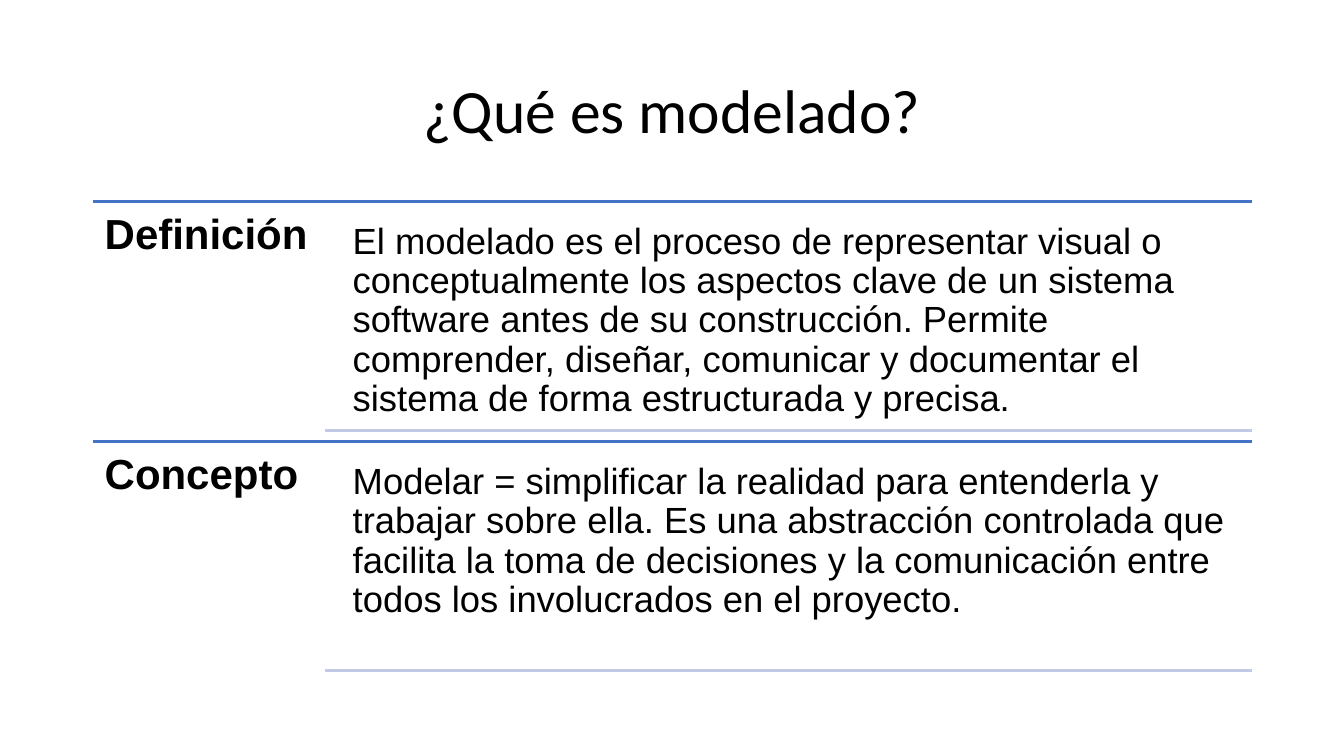
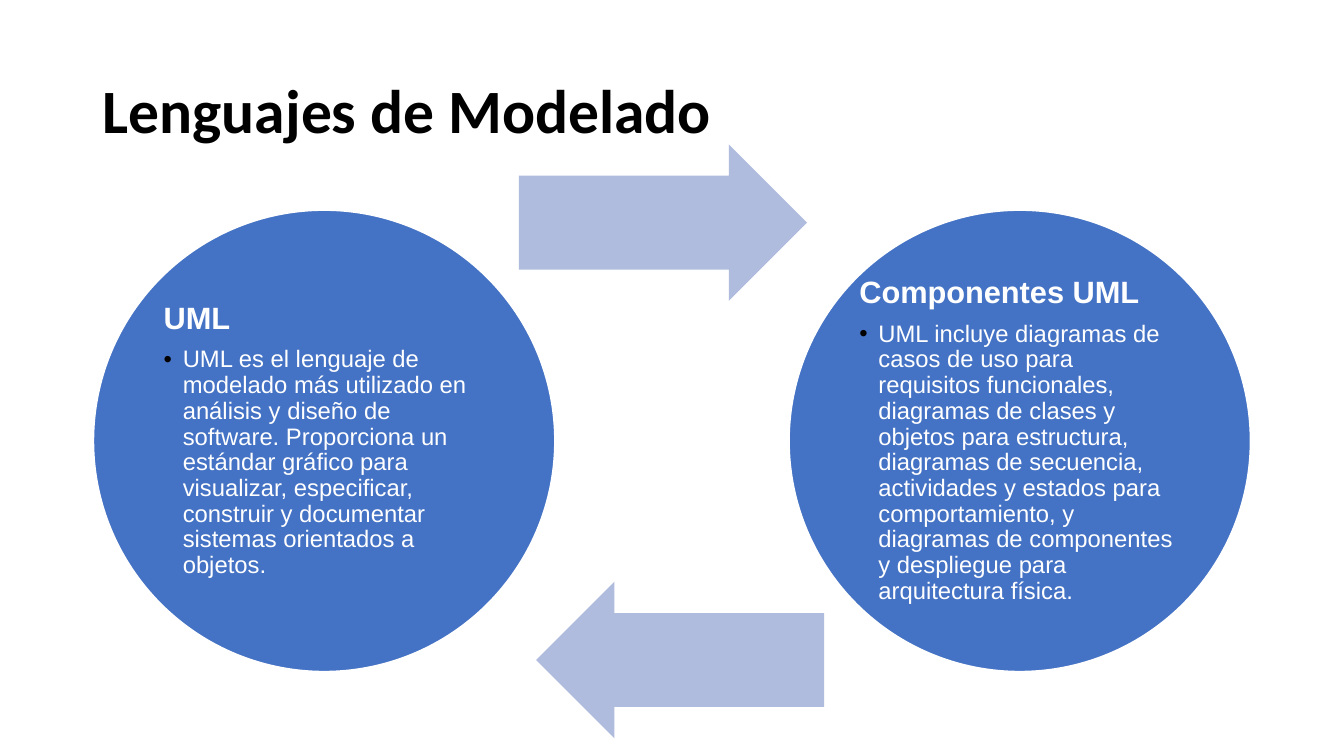
from lxml import etree
from pptx import Presentation
from pptx.dml.color import RGBColor
from pptx.enum.shapes import MSO_CONNECTOR, MSO_SHAPE
from pptx.enum.text import MSO_ANCHOR, MSO_AUTO_SIZE, PP_ALIGN
from pptx.oxml.ns import qn
from pptx.util import Cm, Pt

LINE = MSO_CONNECTOR.STRAIGHT
OVAL, ARROW = MSO_SHAPE.OVAL, MSO_SHAPE.RIGHT_ARROW
TOP, MIDDLE = MSO_ANCHOR.TOP, MSO_ANCHOR.MIDDLE
LEFT, CENTER = PP_ALIGN.LEFT, PP_ALIGN.CENTER
FIXED = MSO_AUTO_SIZE.NONE

COLORS = {"ink": "000000", "white": "FFFFFF", "blue": "4472C4",
          "pale": "C1C9E4", "arrow": "B0BCDE"}
HEAD, BODY = "Calibri", "Arial"
WIDTH, HEIGHT = 33.87, 19.05
EDGE, SPAN = 2.34, 29.2

ROWS = [
    ("Definición",
     "El modelado es el proceso de representar visual o conceptualmente los "
     "aspectos clave de un sistema software antes de su construcción. Permite "
     "comprender, diseñar, comunicar y documentar el sistema de forma "
     "estructurada y precisa."),
    ("Concepto",
     "Modelar = simplificar la realidad para entenderla y trabajar sobre ella. "
     "Es una abstracción controlada que facilita la toma de decisiones y la "
     "comunicación entre todos los involucrados en el proyecto."),
]
DISCS = [
    ("UML",
     "UML es el lenguaje de modelado más utilizado en análisis y diseño de "
     "software. Proporciona un estándar gráfico para visualizar, especificar, "
     "construir y documentar sistemas orientados a objetos."),
    ("Componentes UML",
     "UML incluye diagramas de casos de uso para requisitos funcionales, "
     "diagramas de clases y objetos para estructura, diagramas de secuencia, "
     "actividades y estados para comportamiento, y diagramas de componentes y "
     "despliegue para arquitectura física."),
]


def rgb(name):
    return RGBColor.from_string(COLORS[name])


def set_frame(frame, anchor, inset_x, inset_y):
    frame.word_wrap = True
    frame.auto_size = FIXED
    frame.vertical_anchor = anchor
    frame.margin_left = frame.margin_right = Cm(inset_x)
    frame.margin_top = frame.margin_bottom = Cm(inset_y)


def write(para, text, size, color="ink", bold=False, font=BODY, align=LEFT,
          after=0):
    para.alignment = align
    para.line_spacing = 0.9
    para.space_after = Pt(after)
    run = para.add_run()
    run.text = text
    run.font.name = font
    run.font.size = Pt(size)
    run.font.bold = bold
    run.font.color.rgb = rgb(color)


def add_bullet(para):
    para.level = 1
    props = para._p.get_or_add_pPr()
    props.set("marL", str(Cm(0.48)))
    props.set("indent", str(-Cm(0.48)))
    tint = etree.SubElement(props, qn("a:buClr"))
    etree.SubElement(tint, qn("a:srgbClr"), val=COLORS["ink"])
    etree.SubElement(props, qn("a:buFont"), typeface=BODY)
    etree.SubElement(props, qn("a:buChar"), char="•")


def add_slide(deck, title, bold=False, align=LEFT):
    slide = deck.slides.add_slide(deck.slide_layouts[5])
    head = slide.shapes.title
    head.left, head.top = Cm(EDGE), Cm(1.01)
    head.width, head.height = Cm(SPAN), Cm(3.68)
    set_frame(head.text_frame, MIDDLE, 0.25, 0.13)
    write(head.text_frame.paragraphs[0], title, 44, bold=bold, font=HEAD,
          align=align)
    return slide


def add_rule(slide, left, top, color):
    """Draw a level line from left to the right edge of the content."""
    rule = slide.shapes.add_connector(LINE, Cm(left), Cm(top),
                                      Cm(EDGE + SPAN), Cm(top))
    rule.line.color.rgb = rgb(color)
    rule.line.width = Pt(2)
    etree.SubElement(rule._element.spPr, qn("a:effectLst"))


def add_text(slide, left, top, width, height, inset, text, size, bold=False):
    box = slide.shapes.add_textbox(Cm(left), Cm(top), Cm(width), Cm(height))
    set_frame(box.text_frame, TOP, inset, inset)
    write(box.text_frame.paragraphs[0], text, size, bold=bold)


def add_row(slide, top, label, text):
    add_rule(slide, EDGE, top, "blue")
    add_text(slide, EDGE, top, 5.84, 6.05, 0.3, label, 30, bold=True)
    add_text(slide, 8.61, top + 0.26, 22.93, 5.49, 0.28, text, 26)
    add_rule(slide, 8.18, top + 5.76, "pale")


def add_shape(slide, kind, left, top, width, height, color):
    shape = slide.shapes.add_shape(kind, Cm(left), Cm(top), Cm(width),
                                   Cm(height))
    shape.shadow.inherit = False
    shape.fill.solid()
    shape.fill.fore_color.rgb = rgb(color)
    shape.line.fill.background()
    return shape


def add_disc(slide, left, label, text):
    disc = add_shape(slide, OVAL, left, 5.28, 11.66, 11.66, "blue")
    disc.line.color.rgb = rgb("white")
    disc.line.width = Pt(2)
    frame = disc.text_frame
    set_frame(frame, MIDDLE, 0.08, 0.08)
    write(frame.paragraphs[0], label, 22, "white", bold=True, after=8)
    para = frame.add_paragraph()
    add_bullet(para)
    write(para, text, 17, "white", after=3)


def add_arrow(slide, left, top, turn=0):
    arrow = add_shape(slide, ARROW, left, top, 7.26, 3.94, "arrow")
    arrow.adjustments[0], arrow.adjustments[1] = 0.6, 0.5
    arrow.rotation = turn


def main():
    deck = Presentation()
    deck.slide_width, deck.slide_height = Cm(WIDTH), Cm(HEIGHT)

    slide = add_slide(deck, "¿Qué es modelado?", align=CENTER)
    for i, (label, text) in enumerate(ROWS):
        add_row(slide, 5.08 + 6.05 * i, label, text)

    slide = add_slide(deck, "Lenguajes de Modelado", bold=True)
    for i, (label, text) in enumerate(DISCS):
        add_disc(slide, EDGE + 17.53 * i, label, text)
    add_arrow(slide, 13.08, 3.64)
    add_arrow(slide, 13.51, 14.66, turn=180)

    deck.save("out.pptx")


if __name__ == "__main__":
    main()
